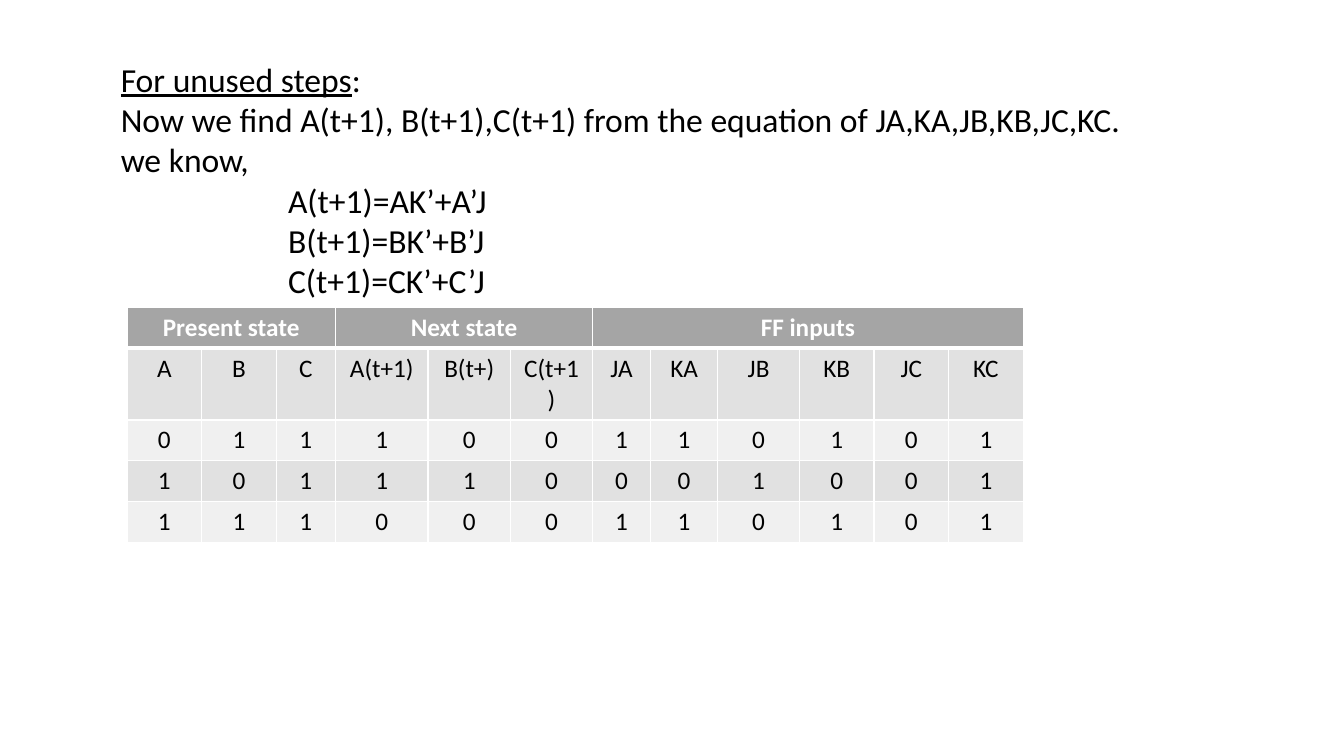
from lxml import etree
from pptx import Presentation
from pptx.dml.color import RGBColor
from pptx.enum.text import MSO_AUTO_SIZE, PP_ALIGN
from pptx.oxml.ns import qn
from pptx.util import Pt

CENTER = PP_ALIGN.CENTER
GROW = MSO_AUTO_SIZE.SHAPE_TO_FIT_TEXT
FONT = "Calibri"
HUES = {"ink": "000000", "paper": "FFFFFF", "head": "A5A5A5",
        "dark": "E1E1E1", "light": "F0F0F0"}

# Content: each line is (indent, runs), each run is (text, underlined)
STEP = 119.5
LINES = [
    (0, [("For unused steps", True), (":", False)]),
    (0, [("Now we find A(t+1), B(t+1),C(t+1) from the equation of "
          "JA,KA,JB,KB,JC,KC.", False)]),
    (0, [("we know,", False)]),
    (STEP, [("A(t+1)=AK’+A’J", False)]),
    (STEP, [("B(t+1)=BK’+B’J", False)]),
    (STEP, [("C(t+1)=CK’+C’J", False)]),
]
GROUPS = [("Present state", 3), ("Next state", 3), ("FF inputs", 6)]
ROWS = [
    ["A", "B", "C", "A(t+1)", "B(t+)", "C(t+1)",
     "JA", "KA", "JB", "KB", "JC", "KC"],
    list("011100110101"),
    list("101110001001"),
    list("111000110101"),
]
WIDTHS = [53.3, 53.3, 42.3, 66.2, 58.8, 58.8, 41.2, 48.2, 58.3, 53.3, 53.3, 53.3]
HIGH = 29.2


def color(name):
    return RGBColor.from_string(HUES[name])


def add_run(para, text, size, hue, bold=False, under=False):
    run = para.add_run()
    run.text = text
    font = run.font
    font.name, font.size = FONT, Pt(size)
    font.bold, font.underline = bold, under
    font.color.rgb = color(hue)


def style(cell, row):
    """Draw white cell borders, thick under the header, then the fill."""
    props = cell._tc.get_or_add_tcPr()
    thick = {0: "lnB", 1: "lnT"}.get(row)
    for side in ("lnL", "lnR", "lnT", "lnB"):
        wide = 3 if side == thick else 1
        line = etree.SubElement(props, qn("a:" + side), w=str(Pt(wide)))
        fill = etree.SubElement(line, qn("a:solidFill"))
        etree.SubElement(fill, qn("a:srgbClr"), val=HUES["paper"])
    cell.fill.solid()
    band = "dark" if row % 2 else "light"
    cell.fill.fore_color.rgb = color(band if row else "head")


def write(cell, text, hue, bold=False):
    para = cell.text_frame.paragraphs[0]
    para.alignment = CENTER
    add_run(para, text, 18, hue, bold)


deck = Presentation()
deck.slide_width, deck.slide_height = Pt(960), Pt(540)
slide = deck.slides.add_slide(deck.slide_layouts[6])

# State table
count = len(ROWS) + 1
grid = slide.shapes.add_table(count, len(WIDTHS), Pt(90.7), Pt(219.6),
                              Pt(sum(WIDTHS)), Pt(HIGH * count)).table
for col, wide in zip(grid.columns, WIDTHS):
    col.width = Pt(wide)
for num, row in enumerate(grid.rows):
    row.height = Pt(HIGH)
    for cell in row.cells:
        style(cell, num)

start = 0
for text, span in GROUPS:
    cell = grid.cell(0, start)
    cell.merge(grid.cell(0, start + span - 1))
    write(cell, text, "paper", True)
    start += span
for num, row in enumerate(ROWS, 1):
    for col, text in enumerate(row):
        write(grid.cell(num, col), text, "ink")

# Explanation above the table
frame = slide.shapes.add_textbox(Pt(79.2), Pt(38.2), Pt(732.2), Pt(181.4)).text_frame
frame.word_wrap = True
frame.auto_size = GROW
for num, (indent, runs) in enumerate(LINES):
    para = frame.add_paragraph() if num else frame.paragraphs[0]
    if indent:
        para._p.get_or_add_pPr().set("marL", str(Pt(indent)))
    for text, under in runs:
        add_run(para, text, 24, "ink", under=under)

deck.save("out.pptx")
